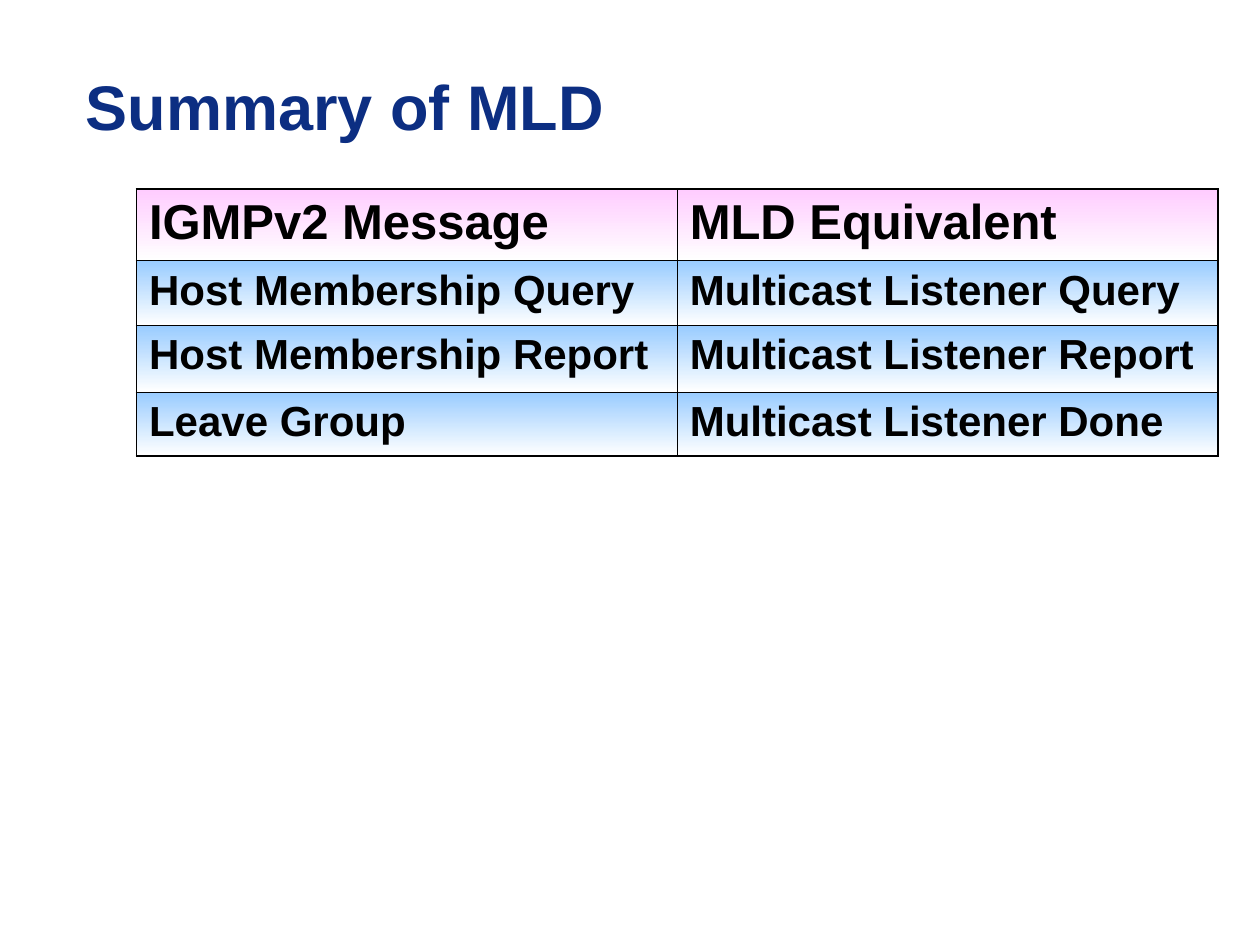
from lxml.etree import SubElement
from pptx import Presentation
from pptx.dml.color import RGBColor
from pptx.enum.text import MSO_ANCHOR
from pptx.oxml.ns import qn
from pptx.util import Pt

TITLE = "Summary of MLD"
ROWS = [
    ("IGMPv2 Message", "MLD Equivalent"),
    ("Host Membership Query", "Multicast Listener Query"),
    ("Host Membership Report", "Multicast Listener Report"),
    ("Leave Group", "Multicast Listener Done"),
]
HEIGHTS = [41, 37, 38, 36.5]
WIDTH = 309
THEME = {
    "font": "Arial",
    "title": (36, "0C2E82"),
    "head": (28, "000000"),
    "body": (24, "000000"),
    "pink": ("FFCCFF", "FFFFFF"),
    "blue": ("99CCFF", "FFFFFF"),
    "rule": "000000",
    "thick": 1.08,
    "thin": 0.45,
}


def write(frame, text, style):
    """Put bold text in a frame with a theme style."""
    size, color = THEME[style]
    frame.text = text
    font = frame.paragraphs[0].runs[0].font
    font.name, font.size, font.bold = THEME["font"], Pt(size), True
    font.color.rgb = RGBColor.from_string(color)


def edge(cell, side, outer):
    """Draw one border of a cell, thicker on the outside of the table."""
    width = Pt(THEME["thick" if outer else "thin"])
    line = SubElement(cell._tc.get_or_add_tcPr(), qn(f"a:ln{side}"), w=str(width))
    fill = SubElement(line, qn("a:solidFill"))
    SubElement(fill, qn("a:srgbClr"), val=THEME["rule"])


def shade(cell, name):
    """Fill a cell with a gradient from top to bottom."""
    cell.fill.gradient()
    cell.fill.gradient_angle = 270
    for stop, color, place in zip(cell.fill.gradient_stops, THEME[name], (0, 1)):
        stop.color.rgb = RGBColor.from_string(color)
        stop.position = place


def main():
    """Build the slide and save it."""
    deck = Presentation()
    deck.slide_width, deck.slide_height = Pt(720), Pt(540)
    slide = deck.slides.add_slide(deck.slide_layouts[6])

    title = slide.shapes.add_textbox(Pt(42), Pt(18), Pt(624), Pt(84)).text_frame
    title.word_wrap = True
    title.vertical_anchor = MSO_ANCHOR.MIDDLE
    write(title, TITLE, "title")

    count, span = len(ROWS), len(ROWS[0])
    table = slide.shapes.add_table(
        count, span, Pt(78), Pt(108), Pt(WIDTH * span), Pt(sum(HEIGHTS))
    ).table
    for col in table.columns:
        col.width = Pt(WIDTH)
    for y, texts in enumerate(ROWS):
        table.rows[y].height = Pt(HEIGHTS[y])
        for x, text in enumerate(texts):
            cell = table.cell(y, x)
            write(cell.text_frame, text, "body" if y else "head")
            edge(cell, "L", x == 0)
            edge(cell, "R", x == span - 1)
            edge(cell, "T", y == 0)
            edge(cell, "B", y == count - 1)
            shade(cell, "blue" if y else "pink")

    deck.save("out.pptx")


if __name__ == "__main__":
    main()
